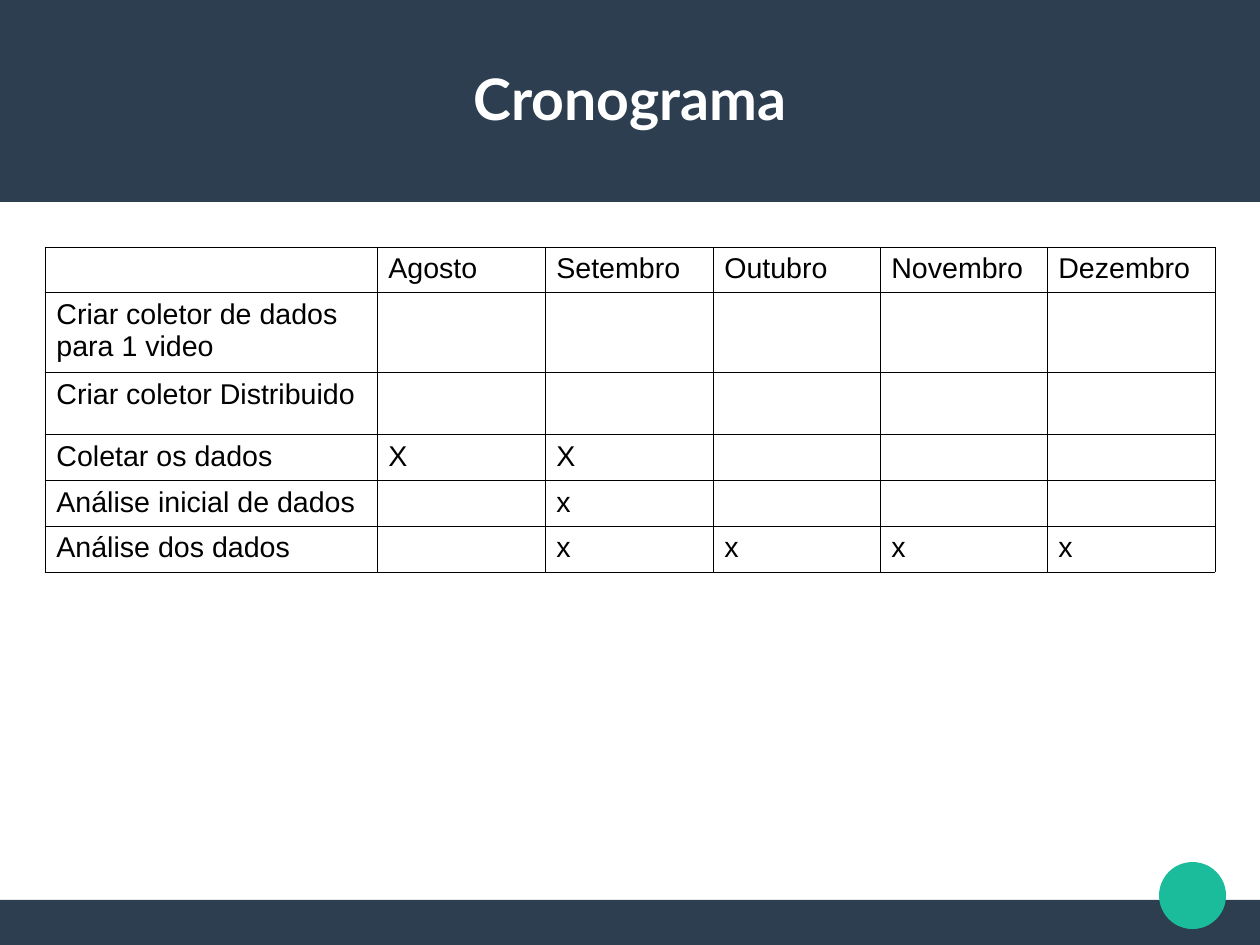
from lxml import etree
from pptx import Presentation
from pptx import util as u
from pptx.dml.color import RGBColor
from pptx.enum import shapes, text
from pptx.oxml import ns

PX = 8000  # EMU per px
NAVY = RGBColor(0x2C, 0x3E, 0x50)
GREEN = RGBColor(0x1A, 0xBC, 0x9C)
WHITE = RGBColor(0xFF, 0xFF, 0xFF)
BLACK = RGBColor(0x00, 0x00, 0x00)
BORDER_WIDTH = u.Pt(0.57)

WIDTH, HEIGHT = 1260, 945
COLUMN_WIDTHS = (332, 168, 168, 167, 167, 168)
ROW_HEIGHTS = (44, 76, 62, 44, 44, 44)
SCHEDULE = (
    ("", "Agosto", "Setembro", "Outubro", "Novembro", "Dezembro"),
    ("Criar coletor de dados para 1 video", "", "", "", "", ""),
    ("Criar coletor Distribuido", "", "", "", "", ""),
    ("Coletar os dados", "X", "X", "", "", ""),
    ("Análise inicial de dados", "", "x", "", "", ""),
    ("Análise dos dados", "", "x", "x", "x", "x"),
)


def px(*lengths):
    return [u.Emu(length * PX) for length in lengths]


def set_font(paragraph, name, size, color, bold=False):
    font = paragraph.font
    font.name, font.size, font.bold = name, u.Pt(size), bold
    font.color.rgb = color


def add_filled_shape(slide, kind, box, color):
    shape = slide.shapes.add_shape(kind, *px(*box))
    shape.shadow.inherit = False
    shape.fill.solid()
    shape.fill.fore_color.rgb = color
    shape.line.fill.background()


def add_title(slide, box, wording):
    frame = slide.shapes.add_textbox(*px(*box)).text_frame
    frame.word_wrap = True
    frame.vertical_anchor = text.MSO_ANCHOR.MIDDLE
    frame.margin_left = frame.margin_right = 0
    frame.margin_top = frame.margin_bottom = 0
    paragraph = frame.paragraphs[0]
    paragraph.text = wording
    paragraph.alignment = text.PP_ALIGN.CENTER
    set_font(paragraph, "Lato", 36, WHITE, bold=True)


def add_borders(cell):
    properties = cell._tc.get_or_add_tcPr()
    for side in ("a:lnL", "a:lnR", "a:lnT", "a:lnB"):
        line = etree.SubElement(properties, ns.qn(side), w=str(BORDER_WIDTH))
        fill = etree.SubElement(line, ns.qn("a:solidFill"))
        etree.SubElement(fill, ns.qn("a:srgbClr"), val=str(BLACK))


def add_schedule(slide, left, top):
    box = px(left, top, sum(COLUMN_WIDTHS), sum(ROW_HEIGHTS))
    table = slide.shapes.add_table(len(ROW_HEIGHTS), len(COLUMN_WIDTHS), *box).table
    table.first_row = table.horz_banding = False
    for column, width in zip(table.columns, px(*COLUMN_WIDTHS)):
        column.width = width
    for row, height, wordings in zip(table.rows, px(*ROW_HEIGHTS), SCHEDULE):
        row.height = height
        for cell, wording in zip(row.cells, wordings):
            add_borders(cell)
            cell.fill.background()
            paragraph = cell.text_frame.paragraphs[0]
            paragraph.text = wording
            set_font(paragraph, "Arial", 18, BLACK)


def main():
    presentation = Presentation()
    presentation.slide_width, presentation.slide_height = px(WIDTH, HEIGHT)
    slide = presentation.slides.add_slide(presentation.slide_layouts[6])

    # Footer and header bands, with the page circle
    rectangle, oval = shapes.MSO_SHAPE.RECTANGLE, shapes.MSO_SHAPE.OVAL
    add_filled_shape(slide, rectangle, (0, 900, WIDTH, 45), NAVY)
    add_filled_shape(slide, rectangle, (0, 0, WIDTH, 202), NAVY)
    add_filled_shape(slide, oval, (1159, 862, 67, 67), GREEN)

    # Title and schedule
    add_title(slide, (45, 38, 1170, 120), "Cronograma")
    add_schedule(slide, 45, 247)

    presentation.save("out.pptx")


if __name__ == "__main__":
    main()
